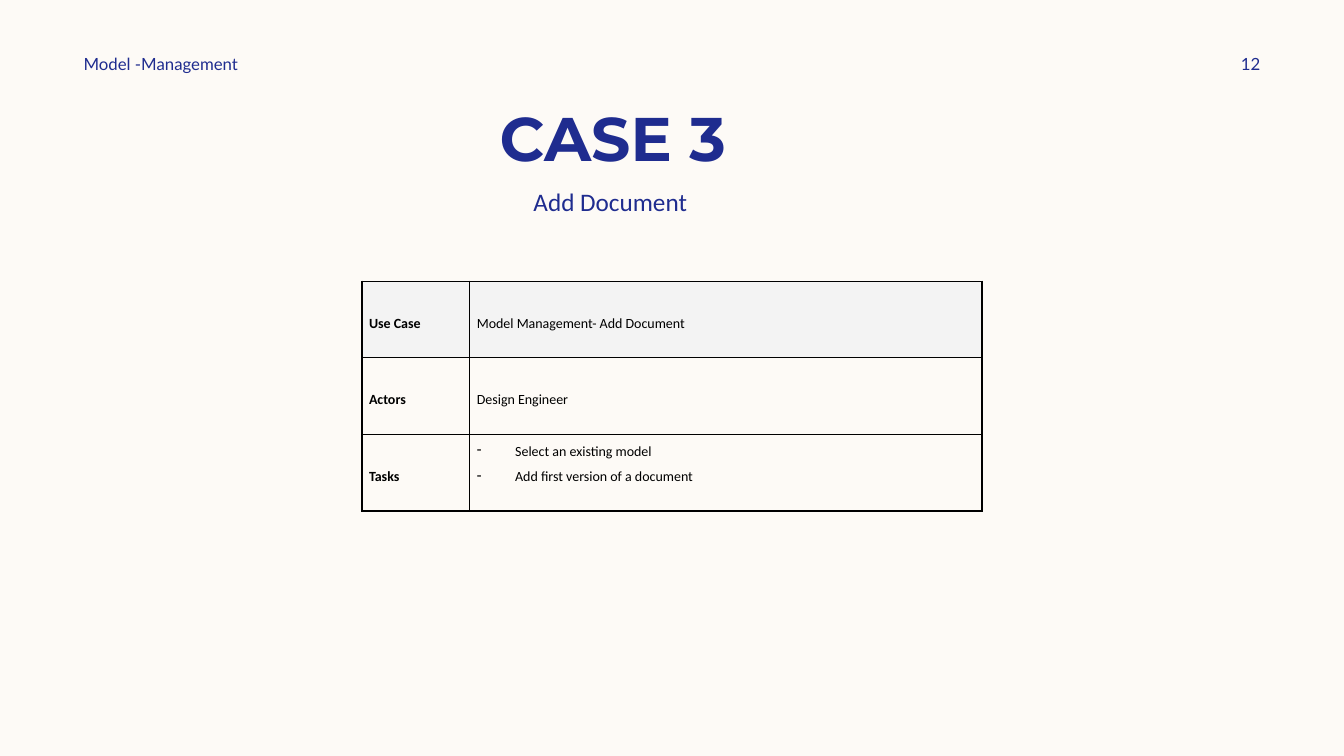
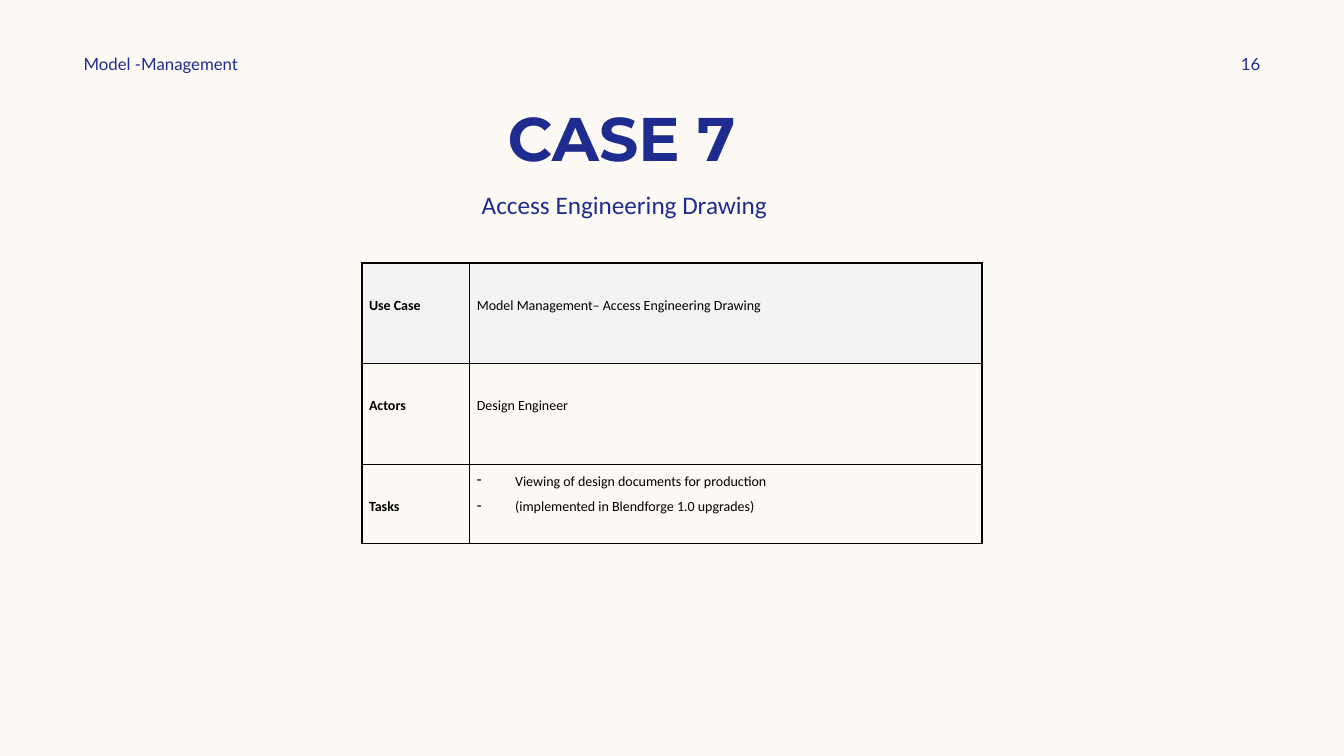
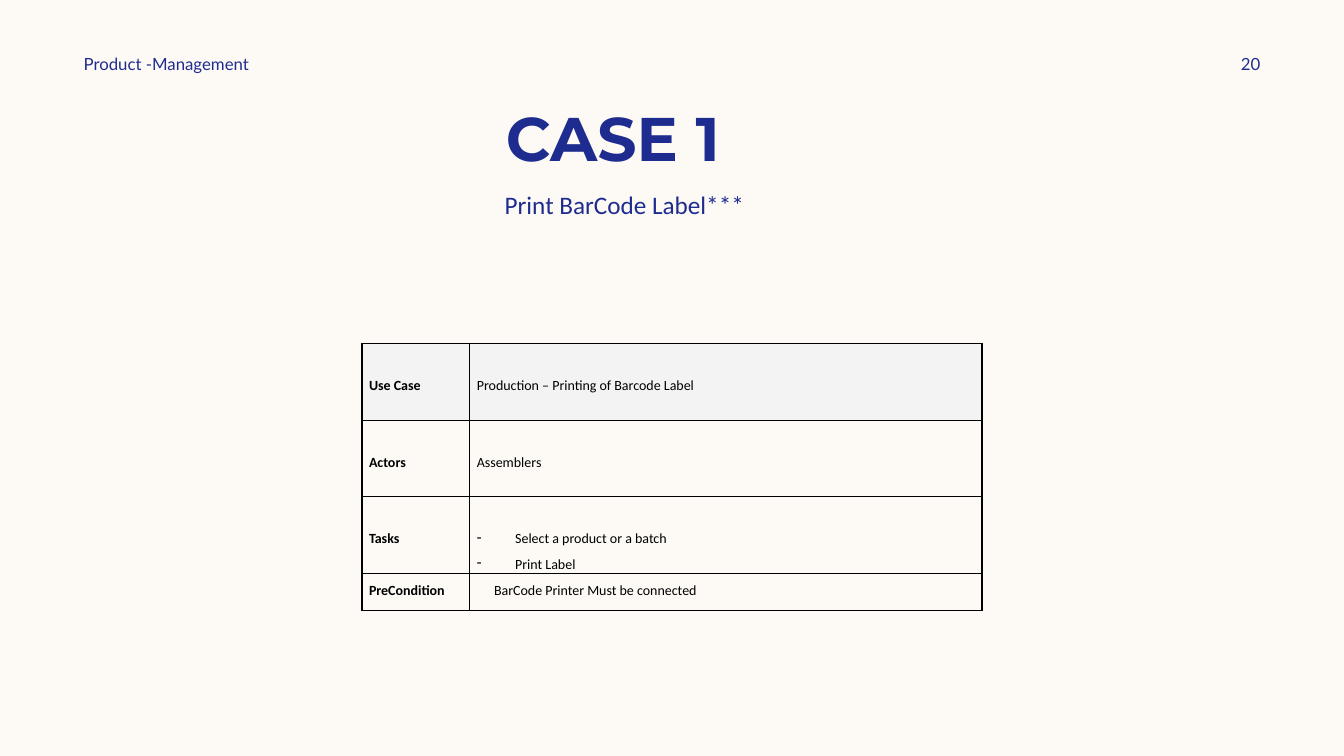
from pptx import Presentation
from pptx.dml.color import RGBColor
from pptx.enum.text import MSO_ANCHOR, PP_ALIGN
from pptx.oxml import parse_xml
from pptx.oxml.ns import nsdecls
from pptx.util import Inches, Pt

TOP, MIDDLE, BOTTOM = MSO_ANCHOR.TOP, MSO_ANCHOR.MIDDLE, MSO_ANCHOR.BOTTOM
LEFT, CENTER, RIGHT = PP_ALIGN.LEFT, PP_ALIGN.CENTER, PP_ALIGN.RIGHT


class Theme:
    paper = RGBColor.from_string("FDFAF6")
    navy = RGBColor.from_string("1F2C8F")
    black = RGBColor.from_string("000000")
    shade = RGBColor.from_string("F3F3F3")
    rule = ("000000", Pt(1))
    # Each style: font values and colour
    title = ({"name": "Montserrat", "size": Pt(44), "bold": True}, navy)
    lead = ({"name": "Calibri", "size": Pt(18), "bold": False}, navy)
    band = ({"name": "Lato", "size": Pt(12), "bold": False}, navy)
    label = ({"name": "Calibri", "size": Pt(10), "bold": True}, black)
    entry = ({"name": "Calibri", "size": Pt(10), "bold": False}, black)


SIZE = (13.33, 7.5)
TITLE = (0.83, 0.83, 10.67, 0.94)
TOPIC = (0.83, 0.5, 3.5, 0.27)
NUMBER = (11.42, 0.5, 1.08, 0.27)
LEAD = (5.81, 0.48)
GRID_X = 3.59
COLS = (1.07, 5.08)
LINE = 0.25  # one line of table text

# row: label, kind of entry, lines, height, lines left free above the entry
CASES = [
    {"topic": "Model -Management", "number": "12", "title": "CASE 3 ",
     "lead": " Add Document", "lead_at": (3.12, 1.8), "grid_y": 2.79,
     "rows": [
         ("Use Case", "plain", ["Model Management- Add Document"], 0.76, 1),
         ("Actors", "plain", ["Design Engineer"], 0.76, 1),
         ("Tasks", "dash", ["Select an existing model",
                            "Add first version of a document"], 0.76, 0)]},
    {"topic": "Model -Management", "number": "16", "title": "CASE 7",
     "lead": " Access Engineering Drawing", "lead_at": (3.26, 1.83), "grid_y": 2.61,
     "rows": [
         ("Use Case", "plain", ["Model Management– Access Engineering Drawing"], 1, 1),
         ("Actors", "plain", ["Design Engineer"], 1, 1),
         ("Tasks", "dash", ["Viewing of design documents for production",
                            "(implemented in Blendforge 1.0 upgrades)"], 0.78, 0)]},
    {"topic": "Product -Management", "number": "20", "title": "CASE 1 ",
     "lead": " Print BarCode Label***", "lead_at": (3.26, 1.83), "grid_y": 3.41,
     "rows": [
         ("Use Case", "plain", ["Production – Printing of Barcode Label"], 0.76, 1),
         ("Actors", "plain", ["Assemblers"], 0.76, 1),
         ("Tasks", "dash", ["Select a product or a batch", "Print Label"], 0.76, 1),
         ("PreCondition", "inset", ["BarCode Printer Must be connected"], 0.37, 0)]},
]


def assign(target, values):
    for name, value in values.items():
        setattr(target, name, value)


def write(para, text, style):
    run = para.add_run()
    run.text = text
    values, color = style
    assign(run.font, values)
    run.font.color.rgb = color


def label(slide, box, text, style, align, anchor, **margins):
    frame = slide.shapes.add_textbox(*map(Inches, box)).text_frame
    assign(frame, {"word_wrap": True, "vertical_anchor": anchor, **margins})
    para = frame.paragraphs[0]
    para.alignment = align
    write(para, text, style)


def indent(para, kind):
    props = para._p.get_or_add_pPr()
    if kind == "dash":
        props.set("marL", str(Inches(0.38)))
        props.set("indent", str(-Inches(0.38)))
        props.append(parse_xml(f'<a:buChar {nsdecls("a")} char="-"/>'))
    elif kind == "inset":
        props.set("marL", str(Inches(0.17)))


def border(cell):
    color, width = Theme.rule
    props = cell._tc.get_or_add_tcPr()
    for side in "LRTB":
        props.append(parse_xml(
            f'<a:ln{side} {nsdecls("a")} w="{width}"><a:solidFill>'
            f'<a:srgbClr val="{color}"/></a:solidFill></a:ln{side}>'))


def fill_cell(cell, lines, style, kind, free, shaded):
    assign(cell, {"margin_left": Inches(0.07), "margin_right": Inches(0.07),
                  "margin_top": Inches(free * LINE), "margin_bottom": 0,
                  "vertical_anchor": TOP})
    border(cell)
    if shaded:
        cell.fill.solid()
        cell.fill.fore_color.rgb = Theme.shade
    else:
        cell.fill.background()
    frame = cell.text_frame
    for i, line in enumerate(lines):
        para = frame.add_paragraph() if i else frame.paragraphs[0]
        para.line_spacing = 1.5
        indent(para, kind)
        write(para, line, style)


# Topic at left, page number at right
def header(slide, topic, number):
    label(slide, TOPIC, topic, Theme.band, LEFT, MIDDLE, margin_left=0, margin_right=0)
    label(slide, NUMBER, number, Theme.band, RIGHT, MIDDLE, margin_right=0)


# Use case table
def grid(slide, left, top, rows):
    high = sum(row[3] for row in rows)
    box = (left, top, sum(COLS), high)
    table = slide.shapes.add_table(len(rows), len(COLS), *map(Inches, box)).table
    assign(table, {"first_row": False, "horz_banding": False})
    for col, width in zip(table.columns, COLS):
        col.width = Inches(width)
    for i, (name, kind, lines, height, free) in enumerate(rows):
        table.rows[i].height = Inches(height)
        # Labels stand on the second line of all rows but one-line ones
        above = 0 if height < 2 * LINE else 1
        fill_cell(table.cell(i, 0), [name], Theme.label, "plain", above, i == 0)
        fill_cell(table.cell(i, 1), lines, Theme.entry, kind, free, i == 0)


def case_page(deck, case):
    slide = deck.slides.add_slide(deck.slide_layouts[6])
    label(slide, TITLE, case["title"], Theme.title, CENTER, BOTTOM)
    header(slide, case["topic"], case["number"])
    label(slide, case["lead_at"] + LEAD, case["lead"], Theme.lead, CENTER, TOP)
    grid(slide, GRID_X, case["grid_y"], case["rows"])


def main():
    deck = Presentation()
    deck.slide_width, deck.slide_height = map(Inches, SIZE)
    back = deck.slide_master.background.fill
    back.solid()
    back.fore_color.rgb = Theme.paper
    for case in CASES:
        case_page(deck, case)
    deck.save("out.pptx")


if __name__ == "__main__":
    main()
